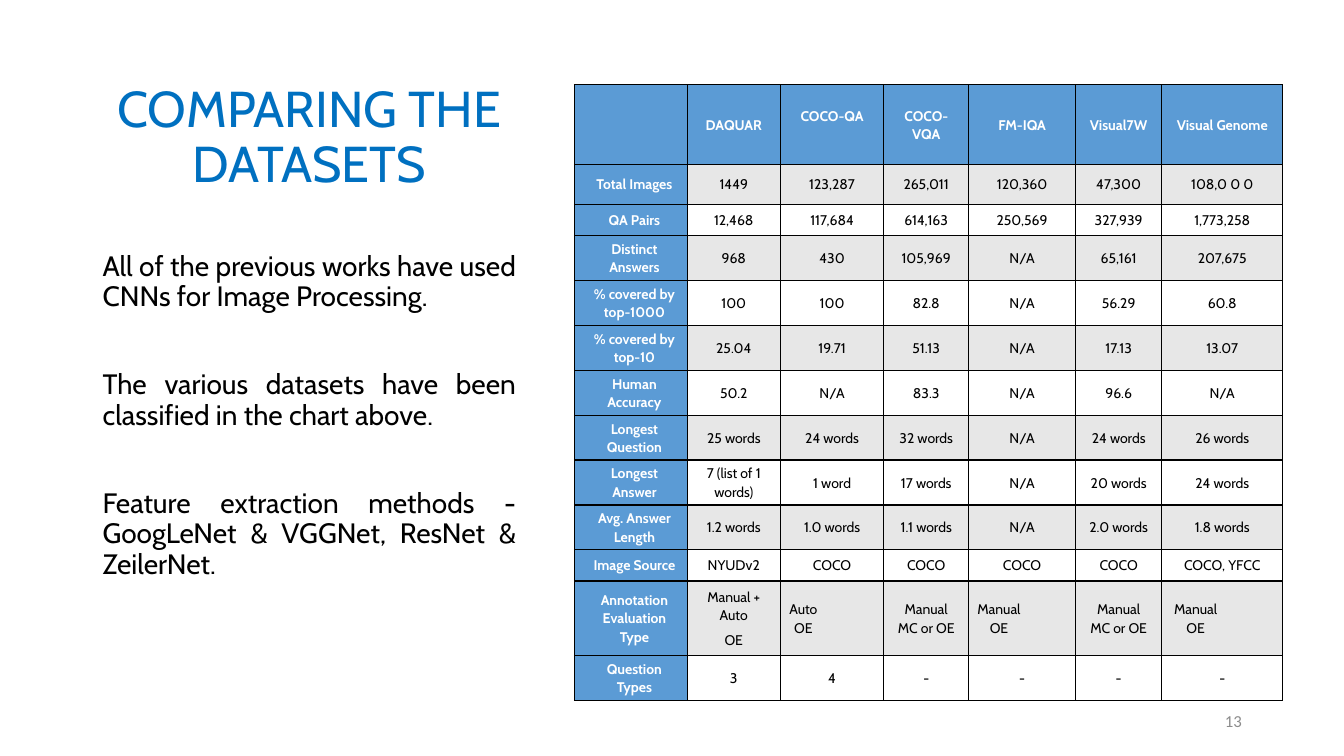
from dataclasses import dataclass

from lxml.etree import SubElement
from pptx import Presentation
from pptx.dml.color import RGBColor
from pptx.enum.text import MSO_ANCHOR as Anchor, MSO_AUTO_SIZE as AutoSize, PP_ALIGN as Align
from pptx.oxml.ns import qn
from pptx.util import Pt

# Content
TITLE = "COMPARING THE DATASETS"
POINTS = [
    "All of the previous works have used CNNs for Image Processing.",
    "The various datasets have been classified in the chart above.",
    "Feature extraction methods - GoogLeNet & VGGNet, ResNet & ZeilerNet.",
]
PAGE_NUMBER = "13"
ROWS = [
    ("", "DAQUAR", "COCO-QA", "COCO-VQA", "FM-IQA", "Visual7W", "Visual Genome"),
    ("Total Images", "1449", "123,287", "265,011", "120,360", "47,300", "108,0 0 0"),
    ("QA Pairs", "12,468", "117,684", "614,163", "250,569", "327,939", "1,773,258"),
    ("Distinct Answers", "968", "430", "105,969", "N/A", "65,161", "207,675"),
    ("% covered by top-1000", "100", "100", "82.8", "N/A", "56.29", "60.8"),
    ("% covered by top-10", "25.04", "19.71", "51.13", "N/A", "17.13", "13.07"),
    ("Human Accuracy", "50.2", "N/A", "83.3", "N/A", "96.6", "N/A"),
    ("Longest Question", "25 words", "24 words", "32 words", "N/A", "24 words", "26 words"),
    ("Longest Answer", "7 (list of 1 words)", "1 word", "17 words", "N/A", "20 words", "24 words"),
    ("Avg. Answer Length", "1.2 words", "1.0 words", "1.1 words", "N/A", "2.0 words", "1.8 words"),
    ("Image Source", "NYUDv2", "COCO", "COCO", "COCO", "COCO", "COCO, YFCC"),
    ("Annotation\nEvaluation Type", "Manual + Auto\nOE", "Auto\nOE", "Manual\nMC or OE",
     "Manual\nOE", "Manual\nMC or OE", "Manual\nOE"),
    ("Question Types", "3", "4", "-", "-", "-", "-"),
]

# Layout, in points
COLUMN_WIDTHS = [80.5, 66.5, 74, 60.5, 76.5, 61.5, 86.5]
ROW_HEIGHTS = [57, 28.5, 22.2] + [32.1] * 7 + [22.2, 53.5, 32.1]
TABLE_LEFT, TABLE_TOP = 410.4, 60.5
TEXT_LEFT, TEXT_WIDTH = 66.2, 309.6
ANNOTATION_ROW = 11
SHIFTED_LEFT = {2: 41, 4: 33, 6: 38}  # right indent by column in the annotation row


@dataclass(frozen=True)
class Theme:
    font: str = "Cabin"
    number_font: str = "Calibri"
    title: str = "0070C0"
    text: str = "000000"
    header: str = "5B9BD5"
    header_text: str = "FFFFFF"
    band: str = "E7E7E7"
    plain: str = "FFFFFF"
    border: str = "000000"
    number: str = "8C8C8C"
    title_size: int = 36
    body_size: int = 20
    table_size: int = 10
    number_size: int = 12


THEME = Theme()


def style(para, size, color, align, spacing=0.9, bold=False, font=THEME.font):
    para.alignment = align
    para.line_spacing = spacing
    for span in para.runs:
        span.font.name = font
        span.font.size = Pt(size)
        span.font.bold = bold
        span.font.color.rgb = RGBColor.from_string(color)


def add_text_box(page, left, top, width, height, text):
    box = page.shapes.add_textbox(Pt(left), Pt(top), Pt(width), Pt(height))
    box.text_frame.word_wrap = True
    box.text_frame.text = text
    return box.text_frame


def add_borders(cell):
    properties = cell._tc.get_or_add_tcPr()
    for index, side in enumerate(("a:lnL", "a:lnR", "a:lnT", "a:lnB")):
        line = properties.makeelement(qn(side), {"w": str(Pt(1))})
        fill = SubElement(line, qn("a:solidFill"))
        SubElement(fill, qn("a:srgbClr"), val=THEME.border)
        properties.insert(index, line)


def fill_cell(cell, row, column, text):
    is_header = row == 0 or column == 0
    fill = THEME.header if is_header else THEME.band if row % 2 else THEME.plain
    cell.fill.solid()
    cell.fill.fore_color.rgb = RGBColor.from_string(fill)
    add_borders(cell)
    cell.vertical_anchor = Anchor.MIDDLE
    cell.margin_left = cell.margin_right = Pt(5)
    cell.margin_top = cell.margin_bottom = 0
    if text == "COCO-QA":
        cell.margin_bottom = Pt(13)  # sits higher than the other headings
    cell.text_frame.text = text
    for para in cell.text_frame.paragraphs:
        color = THEME.header_text if is_header else THEME.text
        style(para, THEME.table_size, color, Align.CENTER, 1.07, is_header)
        if row and column == 0:
            para._p.get_or_add_pPr().set("marL", str(Pt(5)))
        if row == ANNOTATION_ROW and column in SHIFTED_LEFT:
            para._p.get_or_add_pPr().set("marR", str(Pt(SHIFTED_LEFT[column])))
    if row == ANNOTATION_ROW and column == 1:
        cell.text_frame.paragraphs[0].space_after = Pt(4.5)


def main():
    deck = Presentation()
    deck.slide_width, deck.slide_height = Pt(960), Pt(540)
    page = deck.slides.add_slide(deck.slide_layouts[5])

    # Title
    title = page.shapes.title
    title.left, title.top = Pt(TEXT_LEFT), Pt(36)
    title.width, title.height = Pt(TEXT_WIDTH), Pt(126)
    frame = title.text_frame
    frame.text = TITLE
    frame.word_wrap = True
    frame.auto_size = AutoSize.NONE
    frame.vertical_anchor = Anchor.MIDDLE
    style(frame.paragraphs[0], THEME.title_size, THEME.title, Align.CENTER)

    # Dataset table
    graphic = page.shapes.add_table(
        len(ROWS), len(COLUMN_WIDTHS), Pt(TABLE_LEFT), Pt(TABLE_TOP),
        Pt(sum(COLUMN_WIDTHS)), Pt(sum(ROW_HEIGHTS)))
    table = graphic.table
    for column, width in zip(table.columns, COLUMN_WIDTHS):
        column.width = Pt(width)
    for row, height in zip(table.rows, ROW_HEIGHTS):
        row.height = Pt(height)
    for row, values in enumerate(ROWS):
        for column, text in enumerate(values):
            fill_cell(table.cell(row, column), row, column, text)

    # Body text
    frame = add_text_box(page, TEXT_LEFT, 176.4, TEXT_WIDTH, 292.3, "\n".join(POINTS))
    for index, para in enumerate(frame.paragraphs):
        style(para, THEME.body_size, THEME.text, Align.JUSTIFY)
        if index:
            para.space_before = Pt(41.6)

    # Page number
    frame = add_text_box(page, 678.2, 500.5, 216, 28.8, PAGE_NUMBER)
    frame.vertical_anchor = Anchor.MIDDLE
    style(frame.paragraphs[0], THEME.number_size, THEME.number, Align.RIGHT, 1.0,
          font=THEME.number_font)

    deck.save("out.pptx")


if __name__ == "__main__":
    main()
